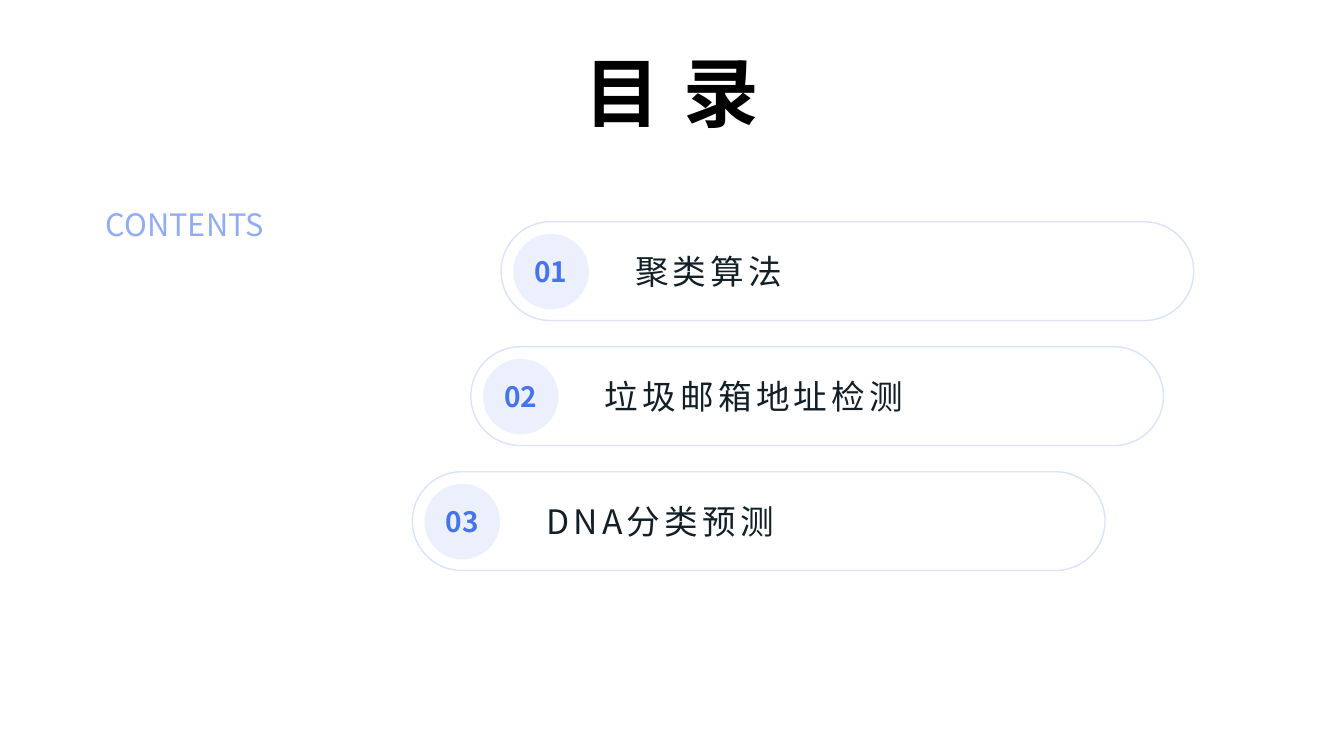
from lxml.etree import SubElement
from pptx import Presentation
from pptx.dml.color import RGBColor
from pptx.enum.shapes import MSO_SHAPE
from pptx.enum.text import MSO_ANCHOR, MSO_AUTO_SIZE, PP_ALIGN
from pptx.oxml.ns import qn
from pptx.util import Inches, Pt

BLACK = RGBColor(0x00, 0x00, 0x00)
WHITE = RGBColor(0xFF, 0xFF, 0xFF)
INK = RGBColor(0x13, 0x1F, 0x27)
BLUE = RGBColor(0x46, 0x74, 0xEB)
SOFT = RGBColor(0x90, 0xAC, 0xF3)
PALE = RGBColor(0xDA, 0xE3, 0xFB)

NOTO = "Noto Sans CJK SC"
TOP, STEP = 2.2, 1.24
ITEMS = [
    (4.97, "聚类算法"),
    (4.67, "垃圾邮箱地址检测"),
    (4.09, "DNA分类预测"),
]


def write(shape, text, color, size, face=NOTO, bold=False, gap=0,
          align=PP_ALIGN.LEFT, inset=(0, 0), wrap=True):
    """Fill a shape with one formatted line of text."""
    frame = shape.text_frame
    side, edge = map(Inches, inset)
    look = {
        "margin_left": side, "margin_right": side,
        "margin_top": edge, "margin_bottom": edge,
        "vertical_anchor": MSO_ANCHOR.MIDDLE,
        "auto_size": MSO_AUTO_SIZE.NONE, "word_wrap": wrap,
    }
    for key, value in look.items():
        setattr(frame, key, value)
    line = frame.paragraphs[0]
    line.alignment = align
    run = line.add_run()
    run.text = text
    for key, value in {"name": face, "size": Pt(size), "bold": bold}.items():
        setattr(run.font, key, value)
    run.font.color.rgb = color
    # East Asian face and letter spacing
    props = run._r.get_or_add_rPr()
    SubElement(props, qn("a:ea")).set("typeface", NOTO)
    if gap:
        props.set("spc", str(gap * 100))


def add_form(slide, kind, box, fill):
    """Add a flat preset shape without an outline."""
    form = slide.shapes.add_shape(kind, *map(Inches, box))
    form.shadow.inherit = False
    form.fill.solid()
    form.fill.fore_color.rgb = fill
    form.line.fill.background()
    return form


def add_text(slide, box, text, color, size, **style):
    label = slide.shapes.add_textbox(*map(Inches, box))
    write(label, text, color, size, **style)


def add_item(slide, num, left, text):
    """Add one numbered pill of the list."""
    top = TOP + (num - 1) * STEP
    # Pill
    pill = add_form(slide, MSO_SHAPE.ROUNDED_RECTANGLE,
                    (left, top, 6.87, 0.98), WHITE)
    pill.adjustments[0] = 0.5
    pill.line.color.rgb = PALE
    pill.line.width = Pt(1)
    # Number badge, half transparent
    badge = add_form(slide, MSO_SHAPE.OVAL,
                     (left + 0.12, top + 0.12, 0.75, 0.75), PALE)
    tint = badge._element.spPr.find(qn("a:solidFill"))[0]
    SubElement(tint, qn("a:alpha")).set("val", "50000")
    write(badge, f"{num:02d}", BLUE, 20, bold=True,
          align=PP_ALIGN.CENTER, wrap=False)
    # Topic
    add_text(slide, (left + 1.33, top + 0.16, 5.05, 0.65),
             text, INK, 24, gap=3)


def add_title(slide, text):
    title = slide.shapes.title
    box = {"left": 0.73, "top": 0.67, "width": 11.87, "height": 0.48}
    for key, value in box.items():
        setattr(title, key, Inches(value))
    write(title, text, BLACK, 54, face="Arial", bold=True, gap=2,
          align=PP_ALIGN.CENTER, inset=(0.1, 0.05))


def main():
    deck = Presentation()
    deck.slide_width = Inches(13.33)
    deck.slide_height = Inches(7.5)
    slide = deck.slides.add_slide(deck.slide_layouts[5])
    add_title(slide, "目 录")
    for num, (left, text) in enumerate(ITEMS, 1):
        add_item(slide, num, left, text)
    # Side label
    add_text(slide, (1.05, 2.0, 1.8, 0.45), "CONTENTS", SOFT, 22)
    deck.save("out.pptx")


if __name__ == "__main__":
    main()
